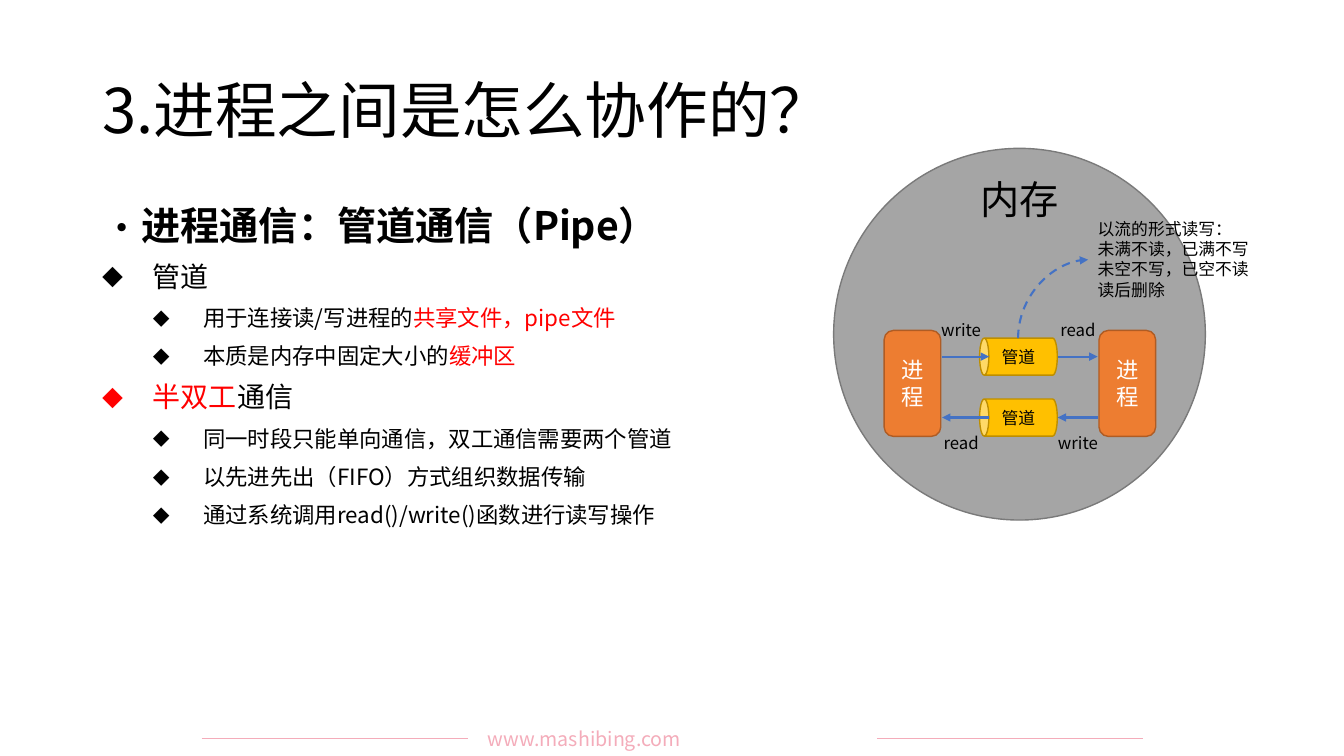
from dataclasses import dataclass
from lxml import etree
from pptx import Presentation
from pptx.dml.color import RGBColor
from pptx.enum.dml import MSO_LINE
from pptx.enum.shapes import MSO_CONNECTOR, MSO_SHAPE
from pptx.enum.text import MSO_ANCHOR, MSO_AUTO_SIZE, PP_ALIGN
from pptx.oxml.ns import qn
from pptx.util import Pt

LINE, CURVE = MSO_CONNECTOR.STRAIGHT, MSO_CONNECTOR.CURVE
OVAL, ROUND, CAN = MSO_SHAPE.OVAL, MSO_SHAPE.ROUNDED_RECTANGLE, MSO_SHAPE.CAN
LEFT, CENTER, JUSTIFY = PP_ALIGN.LEFT, PP_ALIGN.CENTER, PP_ALIGN.JUSTIFY
MIDDLE, GROW, FIXED = MSO_ANCHOR.MIDDLE, MSO_AUTO_SIZE.SHAPE_TO_FIT_TEXT, MSO_AUTO_SIZE.NONE


@dataclass
class Theme:
    font: str = "Noto Sans CJK SC"
    ink: str = "000000"
    white: str = "FFFFFF"
    red: str = "FF0000"
    pink: str = "F4ACBA"
    arrow: str = "4472C4"
    memory: tuple = ("A5A5A5", "7A7A7A")
    process: tuple = ("ED7D31", "AF5C24")
    pipe: tuple = ("FFC000", "BD8E00")
    title: int = 44
    head: int = 28
    point: int = 20
    detail: int = 16
    foot: int = 14
    small: int = 12


T = Theme()
TITLE = "3.进程之间是怎么协作的？"
SITE = "www.mashibing.com"
# Each entry: level, then (text, colour) parts
BODY = [
    (0, [("进程通信：管道通信（Pipe）", T.ink)]),
    (1, [("管道", T.ink)]),
    (2, [("用于连接读/写进程的", T.ink), ("共享文件，pipe文件", T.red)]),
    (2, [("本质是内存中固定大小的", T.ink), ("缓冲区", T.red)]),
    (1, [("半双工", T.red), ("通信", T.ink)]),
    (2, [("同一时段只能单向通信，双工通信需要两个管道", T.ink)]),
    (2, [("以先进先出（FIFO）方式组织数据传输", T.ink)]),
    (2, [("通过系统调用read()/write()函数进行读写操作", T.ink)]),
]
# Per level: size, left margin, hanging indent, bullet, bullet percent
LEVELS = [(T.head, 18, 18, "•", 100), (T.point, 36, 36, "◆", 75), (T.detail, 72, 36, "◆", 75)]
NOTE = ["以流的形式读写：", "未满不读，已满不写", "未空不写，已空不读", "读后删除"]
# Each pipe: axis height, label top, left label, right label, flows to the right
PIPES = [(254.75, 224.5, "write", "read", True), (298.25, 305.25, "read", "write", False)]
GAPS = [(673, 706.5), (755.5, 784)]
LABELS = [686.5, 770]
PIPE_X = 727.5


def color(code):
    return RGBColor.from_string(code)


def style(run, size, code, bold=False):
    font = run.font
    font.name, font.size, font.bold = T.font, Pt(size), bold
    font.color.rgb = color(code)
    etree.SubElement(run.font._element, qn("a:ea"), typeface=T.font)


def fill(frame, lines, size, code, align):
    frame.text = "\n".join(lines)
    for para in frame.paragraphs:
        para.alignment = align
        for run in para.runs:
            style(run, size, code)


def place(shape, *box):
    shape.left, shape.top, shape.width, shape.height = map(Pt, box)


def label(lines, box, size, code=T.ink, align=CENTER, wrap=True):
    frame = slide.shapes.add_textbox(*map(Pt, box)).text_frame
    frame.word_wrap, frame.auto_size = wrap, GROW
    fill(frame, lines, size, code, align)


def solid(kind, box, pair):
    shape = slide.shapes.add_shape(kind, *map(Pt, box))
    shape.shadow.inherit = False
    shape.fill.solid()
    shape.fill.fore_color.rgb = color(pair[0])
    shape.line.color.rgb = color(pair[1])
    shape.line.width = Pt(1)
    return shape


def link(kind, ends, code, width, tip=False, dash=None):
    line = slide.shapes.add_connector(kind, *map(Pt, ends))
    line.line.color.rgb = color(code)
    line.line.width = Pt(width)
    if dash:
        line.line.dash_style = dash
    if tip:
        etree.SubElement(line.line._get_or_add_ln(), qn("a:tailEnd"), type="triangle")
    etree.SubElement(line._element.spPr, qn("a:effectLst"))
    return line


def bullet(para, level):
    _, margin, hang, char, scale = LEVELS[level]
    props = para._p.get_or_add_pPr()
    props.set("marL", str(Pt(margin)))
    props.set("indent", str(-Pt(hang)))
    etree.SubElement(props, qn("a:buSzPct"), val=str(scale * 1000))
    etree.SubElement(props, qn("a:buFont"), typeface=T.font)
    etree.SubElement(props, qn("a:buChar"), char=char)


deck = Presentation()
deck.slide_width, deck.slide_height = Pt(960), Pt(540)
slide = deck.slides.add_slide(deck.slide_layouts[1])

# Footer
for left in (144, 626.5):
    link(LINE, (left, 527.75, left + 190, 527.75), T.pink, 0.5)
label([SITE], (341.5, 515.5, 277, 24.5), T.foot, T.pink, JUSTIFY)

# Title and list
title, body = slide.placeholders
place(title, 66, 28.75, 828, 104.5)
title.text_frame.auto_size = FIXED
title.text_frame.vertical_anchor = MIDDLE
fill(title.text_frame, [TITLE], T.title, T.ink, LEFT)
title.text_frame.paragraphs[0].line_spacing = 0.9

place(body, 66, 144, 828, 367)
frame = body.text_frame
frame.auto_size = FIXED
for i, (level, parts) in enumerate(BODY):
    para = frame.add_paragraph() if i else frame.paragraphs[0]
    para.level, para.line_spacing = level, 0.9
    para.space_before = Pt(10 if i else 0)
    bullet(para, level)
    for text, code in parts:
        run = para.add_run()
        run.text = text
        style(run, LEVELS[level][0], code, level == 0)

# Memory and its two processes
solid(OVAL, (595.5, 106, 265.5, 265.5), T.memory)
label(["内存"], (644.5, 121.5, 168, 60), T.head)
for left in (631.5, 785):
    box = solid(ROUND, (left, 236, 40.5, 75.75), T.process)
    box.text_frame.word_wrap = True
    box.text_frame.vertical_anchor = MIDDLE
    fill(box.text_frame, ["进程"], T.detail, T.white, CENTER)

# Pipes, with their arrows and labels
for axis, top, near, far, right in PIPES:
    can = solid(CAN, (PIPE_X - 13.25, axis - 27.75, 26.5, 55.5), T.pipe)
    can.rotation = 270
    label(["管道"], (PIPE_X - 20, axis - 10.75, 40, 21.5), T.small)
    for a, b in GAPS:
        start, end = (a, b) if right else (b, a)
        link(LINE, (start, axis, end, axis), T.arrow, 1.5, True)
    for mid, word in zip(LABELS, (near, far)):
        label([word], (mid - 24, top, 48, 21.5), T.small)

# Note and the curve that leads to it
label(NOTE, (777, 152.75, 122.5, 65.5), T.small, align=LEFT, wrap=False)
curve = link(CURVE, (0, 0, 56, 50), T.arrow, 1.5, True, MSO_LINE.DASH)
place(curve, 724.25, 188.5, 56, 50)
curve._element.spPr.find(qn("a:prstGeom")).set("prst", "curvedConnector2")
turn = curve._element.spPr.find(qn("a:xfrm"))
for key, value in (("rot", "5400000"), ("flipH", "1"), ("flipV", "1")):
    turn.set(key, value)

deck.save("out.pptx")
